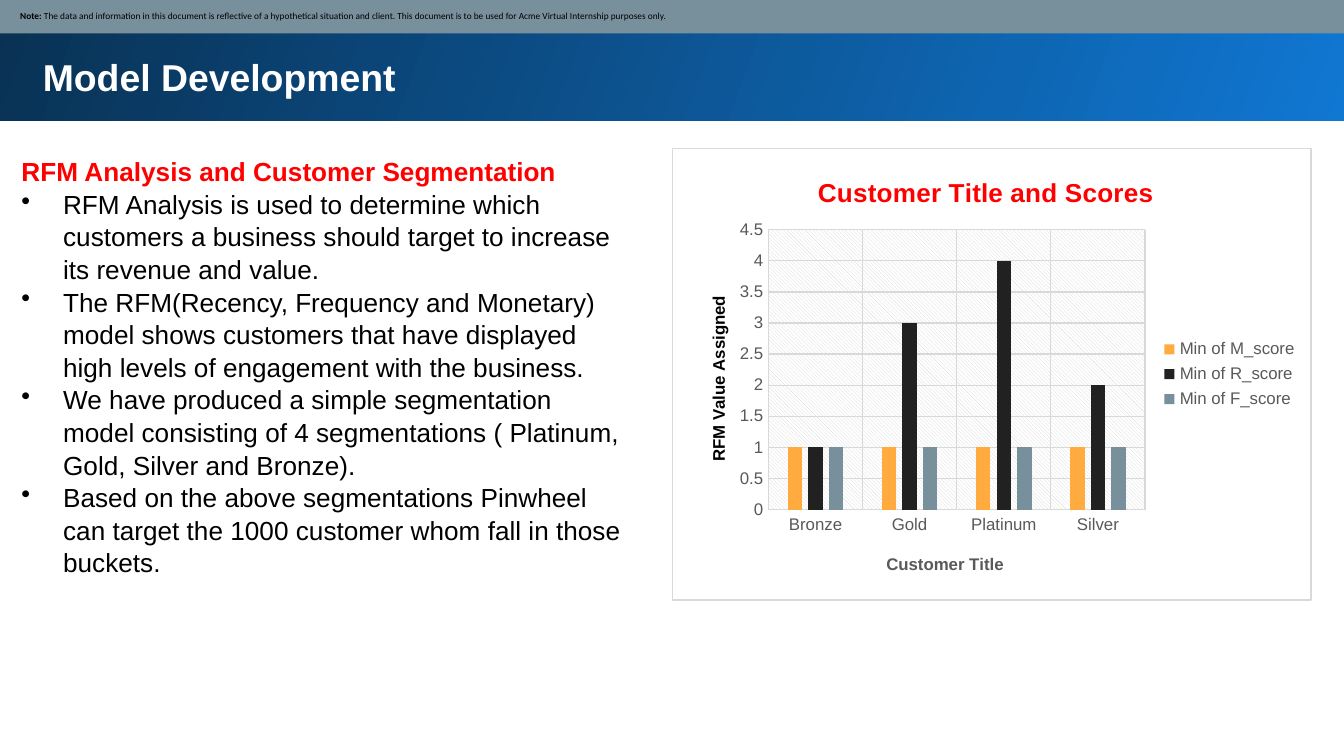
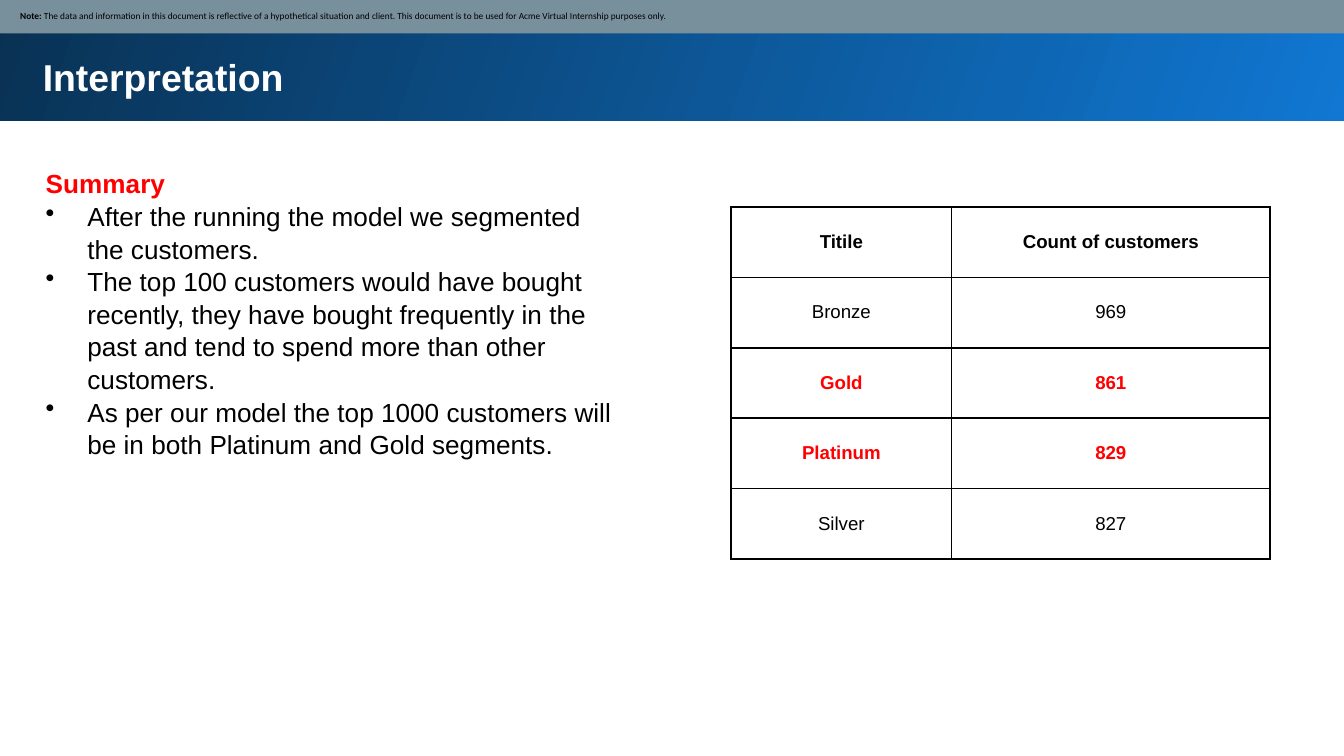
import pptx
import pptx.chart.data
import pptx.dml.color
import pptx.enum.chart
import pptx.enum.shapes
import pptx.enum.text
import pptx.oxml
import pptx.oxml.ns
import pptx.util

BLACK, WHITE, RED = "000000", "FFFFFF", "FF0000"
SLATE, INK, AMBER = "78909C", "212121", "FFAB40"
SKY, NAVY = "1077D2", "093153"
GREY, RULE = "595959", "D9D9D9"
NOTE = ("The data and information in this document is reflective of a hypothetical situation "
        "and client. This document is to be used for Acme Virtual Internship purposes only.")


def colour(value):
    return pptx.dml.color.RGBColor.from_string(value)


def xml(tag, inner="", attributes=""):
    spaces = pptx.oxml.ns.nsdecls("a", "c")
    return pptx.oxml.parse_xml(f"<{tag} {spaces} {attributes}>{inner}</{tag}>")


def solid(value):
    return f'<a:solidFill><a:srgbClr val="{value}"/></a:solidFill>'


class Deck:
    """Holds the style and the current page, measured on a grid of 100 columns by 56.25 rows."""

    face = "Arial"
    leading = 1.04

    def __init__(self):
        self.deck = pptx.Presentation()
        self.deck.slide_width = pptx.util.Inches(10)
        self.deck.slide_height = pptx.util.Inches(5.625)
        self.column = self.deck.slide_width / 100
        self.row = self.deck.slide_height / 56.25

    def cells(self, left, top, width, height):
        return (round(left * self.column), round(top * self.row),
                round(width * self.column), round(height * self.row))

    def font(self, font, size, value=BLACK, bold=False, face=None):
        font.name, font.size, font.bold = face or self.face, pptx.util.Pt(size), bold
        font.color.rgb = colour(value)

    def page(self, title):
        self.page_now = self.deck.slides.add_slide(self.deck.slide_layouts[6])
        band = self.band(-0.2, -0.2, 100.5, 9.2)
        band.fill.gradient()
        band.fill.gradient_angle = 160
        for stop, value in zip(band.fill.gradient_stops, (SKY, NAVY)):
            stop.color.rgb = colour(value)
        heading = self.box(2.2, 2.9, 93.7, 5.1, inset=1).paragraphs[0]
        heading.text = title
        heading.line_spacing = self.leading
        self.font(heading.font, 20, WHITE, True)
        self.note()

    def band(self, *place):
        shape = self.page_now.shapes.add_shape(
            pptx.enum.shapes.MSO_SHAPE.RECTANGLE, *self.cells(*place))
        shape.shadow.inherit = False
        shape.line.fill.background()
        return shape

    def note(self):
        strip = self.band(-0.1, -0.1, 100.3, 2.6)
        strip.fill.solid()
        strip.fill.fore_color.rgb = colour(SLATE)
        frame = strip.text_frame
        frame.word_wrap = True
        frame.vertical_anchor = pptx.enum.text.MSO_ANCHOR.MIDDLE
        self.inset(frame, 0.5)
        frame.margin_left = round(1.6 * self.column)
        para = frame.paragraphs[0]
        para.alignment = pptx.enum.text.PP_ALIGN.LEFT
        for text, bold in (("Note: ", True), (NOTE, False)):
            span = para.add_run()
            span.text = text
            self.font(span.font, 5, BLACK, bold, "Calibri")

    def inset(self, holder, amount):
        holder.margin_left = holder.margin_right = round(amount * self.column)
        holder.margin_top = holder.margin_bottom = round(amount * self.row)

    def box(self, *place, inset=0.5):
        frame = self.page_now.shapes.add_textbox(*self.cells(*place)).text_frame
        frame.word_wrap = True
        self.inset(frame, inset)
        return frame

    def points(self, place, heading, items):
        frame = self.box(*place)
        for index, text in enumerate([heading, *items]):
            para = frame.add_paragraph() if index else frame.paragraphs[0]
            para.text = text
            if index:
                properties = para._p.get_or_add_pPr()
                indent = round(3.1 * self.column)
                properties.set("marL", str(indent))
                properties.set("indent", str(-indent))
                properties.insert(0, xml("a:buChar", attributes='char="&#8226;"'))
            para.line_spacing = self.leading
            self.font(para.font, 14, BLACK if index else RED, not index)

    def layout(self, parent, index, x, y, size=None, inner=False):
        old = parent.find(pptx.oxml.ns.qn("c:layout"))
        if old is not None:
            parent.remove(old)
        values = [("xMode", "edge"), ("yMode", "edge"), ("x", x), ("y", y)]
        if inner:
            values.insert(0, ("layoutTarget", "inner"))
        values += zip("wh", size or ())
        parts = "".join(f'<c:{name} val="{value}"/>' for name, value in values)
        parent.insert(index, xml("c:layout", f"<c:manualLayout>{parts}</c:manualLayout>"))

    def caption(self, title, text, size, value, x, y):
        para = title.text_frame.paragraphs[0]
        para.text = text
        self.font(para.font, size, value, True)
        self.layout(title.element, 1, x, y)

    def rule(self, line):
        line.color.rgb = colour(RULE)
        line.width = pptx.util.Pt(0.75)

    def columns(self, place, title, axis_titles, categories, series):
        data = pptx.chart.data.CategoryChartData()
        data.categories = categories
        for name, values, _ in series:
            data.add_series(name, values)
        chart = self.page_now.shapes.add_chart(
            pptx.enum.chart.XL_CHART_TYPE.COLUMN_CLUSTERED, *self.cells(*place), data).chart
        self.font(chart.font, 10)
        chart.has_title = True
        self.caption(chart.chart_title, title, 14, RED, 0.22, 0.05)
        chart.has_legend = True
        chart.legend.position = pptx.enum.chart.XL_LEGEND_POSITION.RIGHT
        chart.legend.include_in_layout = False
        self.font(chart.legend.font, 9, GREY)

        plot = chart.plots[0]
        plot.gap_width, plot.overlap, plot.vary_by_categories = 267, -43, False
        for bars, (_, _, value) in zip(plot.series, series):
            bars.format.fill.solid()
            bars.format.fill.fore_color.rgb = colour(value)
            bars.invert_if_negative = False

        styles = ((GREY, 0.33, 0.89), (BLACK, 0.05, 0.32))
        for axis, text, style in zip((chart.category_axis, chart.value_axis), axis_titles, styles):
            axis.has_title = axis.has_major_gridlines = True
            self.caption(axis.axis_title, text, 9, *style)
            axis.major_tick_mark = axis.minor_tick_mark = pptx.enum.chart.XL_TICK_MARK.NONE
            self.font(axis.tick_labels.font, 9, GREY)
            self.rule(axis.major_gridlines.format.line)
        self.rule(chart.category_axis.format.line)
        scale = chart.value_axis
        scale.minimum_scale, scale.maximum_scale, scale.major_unit = 0, 4.5, 0.5
        scale.format.line.fill.background()
        turned = next(scale.axis_title.element.iter(pptx.oxml.ns.qn("a:bodyPr")))
        turned.set("rot", "-5400000")
        turned.set("vert", "horz")

        area = next(chart.element.iter(pptx.oxml.ns.qn("c:plotArea")))
        self.layout(area, 0, 0.15, 0.18, (0.59, 0.62), inner=True)
        area.append(xml("c:spPr", '<a:pattFill prst="ltDnDiag">'
                        f'<a:fgClr><a:srgbClr val="{RULE}"/></a:fgClr>'
                        f'<a:bgClr><a:srgbClr val="{WHITE}"/></a:bgClr></a:pattFill>'))
        border = f'<a:ln w="{pptx.util.Pt(0.75)}">{solid(RULE)}</a:ln>'
        chart.element.find(pptx.oxml.ns.qn("c:chart")).addnext(
            xml("c:spPr", solid(WHITE) + border))

    def table(self, place, widths, records, marked):
        shape = self.page_now.shapes.add_table(
            len(records), len(widths), *self.cells(*place))
        table = shape.table
        table.first_row = table.horz_banding = False
        for column, width in zip(table.columns, widths):
            column.width = round(width * self.column)
        for row, record in enumerate(records):
            for index, text in enumerate(record):
                cell = table.cell(row, index)
                cell.fill.solid()
                cell.fill.fore_color.rgb = colour(WHITE)
                cell.vertical_anchor = pptx.enum.text.MSO_ANCHOR.MIDDLE
                self.inset(cell, 0.1)
                para = cell.text_frame.paragraphs[0]
                para.text = text
                para.alignment = pptx.enum.text.PP_ALIGN.CENTER
                hot = record[0] in marked
                self.font(para.font, 10, RED if hot else BLACK, hot or row == 0)
        for properties in shape.element.iter(pptx.oxml.ns.qn("a:tcPr")):
            for index, side in enumerate("LRTB"):
                properties.insert(index, xml(
                    f"a:ln{side}", solid(BLACK), f'w="{pptx.util.Pt(1)}"'))


show = Deck()

show.page("Model Development")
show.columns(
    (50, 11, 47.6, 33.7), "Customer Title and Scores",
    ("Customer Title", "RFM Value Assigned"),
    ("Bronze", "Gold", "Platinum", "Silver"),
    (("Min of M_score", (1, 1, 1, 1), AMBER),
     ("Min of R_score", (1, 3, 4, 2), INK),
     ("Min of F_score", (1, 1, 1, 1), SLATE)))
show.points((1.1, 11, 45.9, 31.6), "RFM Analysis and Customer Segmentation", (
    "RFM Analysis is used to determine which customers a business should target to increase "
    "its revenue and value.",
    "The RFM(Recency, Frequency and Monetary) model shows customers that have displayed "
    "high levels of engagement with the business.",
    "We have produced a simple segmentation model consisting of 4 segmentations "
    "( Platinum, Gold, Silver and Bronze).",
    "Based on the above segmentations Pinwheel can target the 1000 customer whom fall in "
    "those buckets."))

show.page("Interpretation")
show.points((2.9, 11.9, 43.9, 22.2), "Summary", (
    "After the running the model we segmented the customers.",
    "The top 100 customers would have bought recently, they have bought frequently in the "
    "past and tend to spend more than other customers.",
    "As per our model the top 1000 customers will be in both Platinum and Gold segments."))
show.table((54.4, 15.4, 40.1, 26.2), (16.4, 23.7), (
    ("Titile", "Count of customers"),
    ("Bronze", "969"),
    ("Gold", "861"),
    ("Platinum", "829"),
    ("Silver", "827")), ("Gold", "Platinum"))

show.deck.save("out.pptx")
